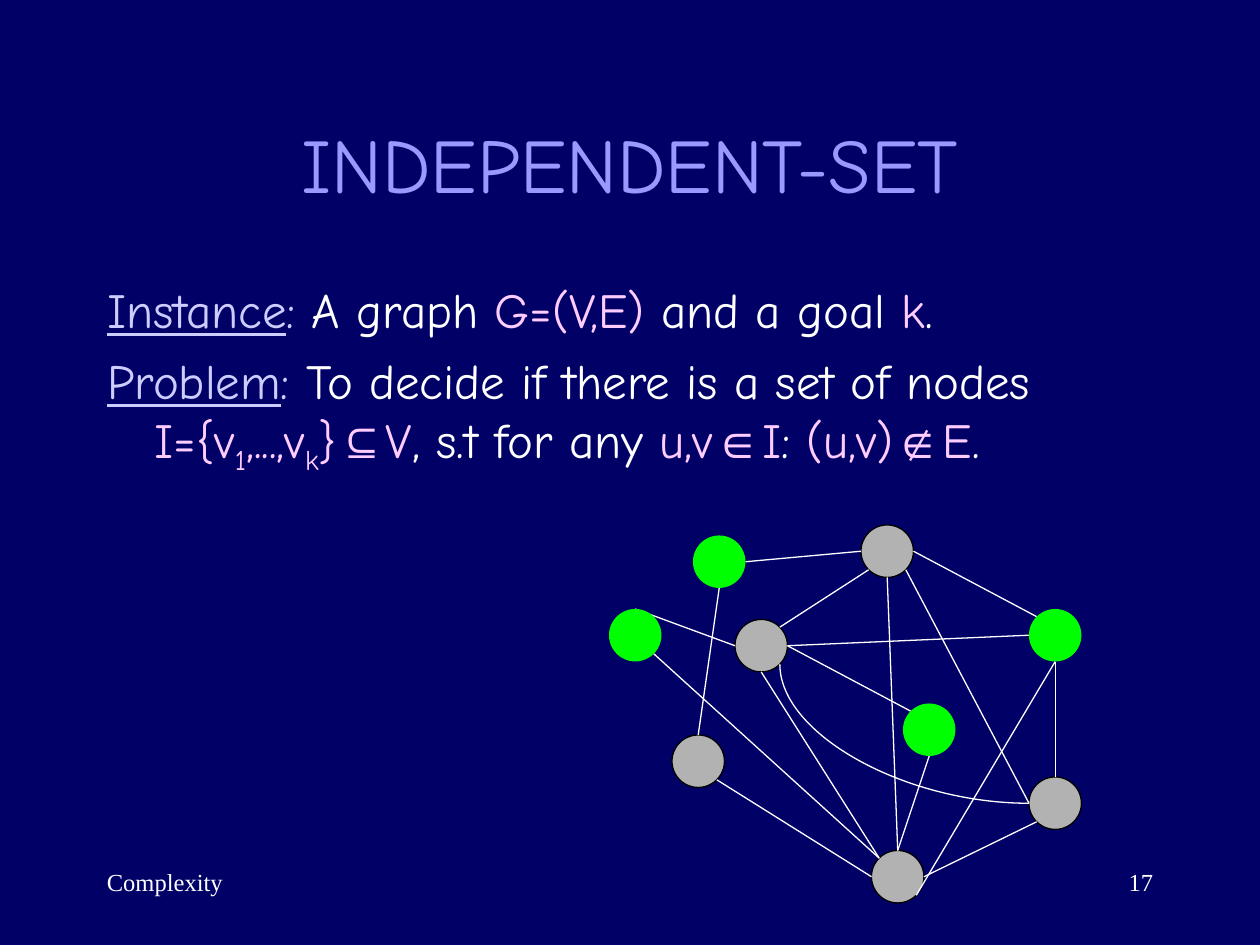
import math

import pptx
import pptx.dml.color
import pptx.enum.shapes
import pptx.enum.text
import pptx.oxml.ns
import pptx.util
from lxml import etree

Pt = pptx.util.Pt
ALIGN = pptx.enum.text.PP_ALIGN
LINK = pptx.enum.shapes.MSO_CONNECTOR
HEX = {
    "back": "000066", "title": "9999FF", "label": "CCCCFF", "plain": "FFFFFF",
    "math": "FFCCFF", "gray": "B2B2B2", "green": "00FF00", "black": "000000",
}
SIZE = 30
NODES = {
    "a": (396, 306), "b": (348, 348), "c": (420, 354),
    "d": (492, 300), "e": (588, 348), "f": (516, 402),
    "g": (384, 420), "h": (588, 444), "i": (498, 486),
}
CHOSEN = "abef"
ANGLES = {"E": 0, "SE": 45, "S": 90, "SW": 135, "W": 180, "NW": 225, "N": 270, "NE": 315}
EDGES = [
    "a S g N", "c W b N", "b SE i NW", "c E f NW", "f S i N", "d S i N",
    "a E d W", "d E e NW", "e S h N", "i E h SW", "g SE i W", "e S i SE",
    "d SE h W", "c NE d SW", "c E e W", "c S i NW",
]
BODY = [
    [("Instance", "label", "line"), (":", "label"), (" A graph ", "plain"),
     ("G=(V,E)", "math"), (" and a goal ", "plain"), ("k", "math"), (".", "plain")],
    [("Problem", "label", "line"), (":", "label"),
     (" To decide if there is a set of nodes ", "plain"), ("I={v", "math"),
     ("1", "math", "sub"), (",...,v", "math"), ("k", "math", "sub"), ("}", "math"),
     ("⊆", "math", "sign"), ("V", "math"), (", s.t for any ", "plain"),
     ("u,v", "math"), ("∈", "math", "sign"), ("I", "math"), (": ", "plain"),
     ("(u,v)", "math"), ("∉", "math", "sign"), ("E", "math"), (".", "plain")],
]


def tint(key):
    return pptx.dml.color.RGBColor.from_string(HEX[key])


def apply(item, **values):
    for name, value in values.items():
        setattr(item, name, value)


def place(shape, left, top, width, height):
    apply(shape, left=Pt(left), top=Pt(top), width=Pt(width), height=Pt(height))


def write(para, text, color, size, face, **values):
    run = para.add_run()
    run.text = text
    apply(run.font, name=face, size=Pt(size), **values)
    run.font.color.rgb = tint(color)
    return run


def add_title(slide):
    shape = slide.shapes.title
    place(shape, 54, 48, 612, 90)
    frame = shape.text_frame
    apply(frame, vertical_anchor=pptx.enum.text.MSO_ANCHOR.MIDDLE, word_wrap=True)
    para = frame.paragraphs[0]
    para.alignment = ALIGN.CENTER
    write(para, "INDEPENDENT-SET", "title", 44, "Comic Neue")


def add_body(slide):
    shape = slide.placeholders[1]
    place(shape, 54, 156, 612, 150)
    frame = shape.text_frame
    apply(frame, word_wrap=True, auto_size=pptx.enum.text.MSO_AUTO_SIZE.NONE)
    for row, parts in enumerate(BODY):
        para = frame.add_paragraph() if row else frame.paragraphs[0]
        para.space_before = Pt(7 if row else 0)
        props = para._p.get_or_add_pPr()
        props.set("marL", str(Pt(27)))
        props.set("indent", str(Pt(-27)))
        etree.SubElement(props, pptx.oxml.ns.qn("a:buNone"))
        for text, color, *marks in parts:
            face = "Arial" if "sign" in marks else "Comic Neue"
            run = write(para, text, color, 28, face, underline="line" in marks)
            if "sub" in marks:
                run._r.get_or_add_rPr().set("baseline", "-25000")


def add_note(slide, text, left, align):
    box = slide.shapes.add_textbox(Pt(left), Pt(492), Pt(150), Pt(36))
    box.text_frame.word_wrap = True
    para = box.text_frame.paragraphs[0]
    para.alignment = align
    write(para, text, "plain", 14, "Times New Roman")


def add_node(slide, name, color, edge=None):
    left, top = NODES[name]
    oval = pptx.enum.shapes.MSO_SHAPE.OVAL
    node = slide.shapes.add_shape(oval, Pt(left), Pt(top), Pt(SIZE), Pt(SIZE))
    node.shadow.inherit = False
    node.fill.solid()
    node.fill.fore_color.rgb = tint(color)
    if edge:
        node.line.color.rgb = tint(edge)
        node.line.width = Pt(0.75)
    else:
        node.line.fill.background()


def rim(name, side):
    turn = math.radians(ANGLES[side])
    left, top = NODES[name]
    half = SIZE / 2
    return left + half + half * math.cos(turn), top + half + half * math.sin(turn)


def add_link(slide, start, end, kind=LINK.STRAIGHT):
    link = slide.shapes.add_connector(kind, *(Pt(num) for num in (*start, *end)))
    link.line.color.rgb = tint("plain")
    link.line.width = Pt(0.75)
    etree.SubElement(link._element.spPr, pptx.oxml.ns.qn("a:effectLst"))
    return link


def add_curve(slide, start, end):
    (left, top), (right, base) = start, end
    mid_x, mid_y = (left + right) / 2, (top + base) / 2
    half_x, half_y = (base - top) / 2, (right - left) / 2
    link = add_link(slide, (mid_x + half_x, mid_y - half_y),
                    (mid_x - half_x, mid_y + half_y), LINK.CURVE)
    props = link._element.spPr
    props.find(pptx.oxml.ns.qn("a:xfrm")).set("rot", "16200000")
    props.find(pptx.oxml.ns.qn("a:prstGeom")).set("prst", "curvedConnector2")


def add_graph(slide):
    for name in NODES:
        if name not in CHOSEN:
            add_node(slide, name, "gray", "black")
    for edge in EDGES:
        head, out, tail, into = edge.split()
        add_link(slide, rim(head, out), rim(tail, into))
    add_curve(slide, rim("c", "SE"), rim("h", "W"))
    for name in CHOSEN:
        add_node(slide, name, "green")


def main():
    deck = pptx.Presentation()
    apply(deck, slide_width=Pt(720), slide_height=Pt(540))
    slide = deck.slides.add_slide(deck.slide_layouts[1])
    slide.background.fill.solid()
    slide.background.fill.fore_color.rgb = tint("back")
    add_title(slide)
    add_body(slide)
    add_graph(slide)
    add_note(slide, "17", 516, ALIGN.RIGHT)
    add_note(slide, "Complexity", 54, ALIGN.LEFT)
    deck.save("out.pptx")


if __name__ == "__main__":
    main()
